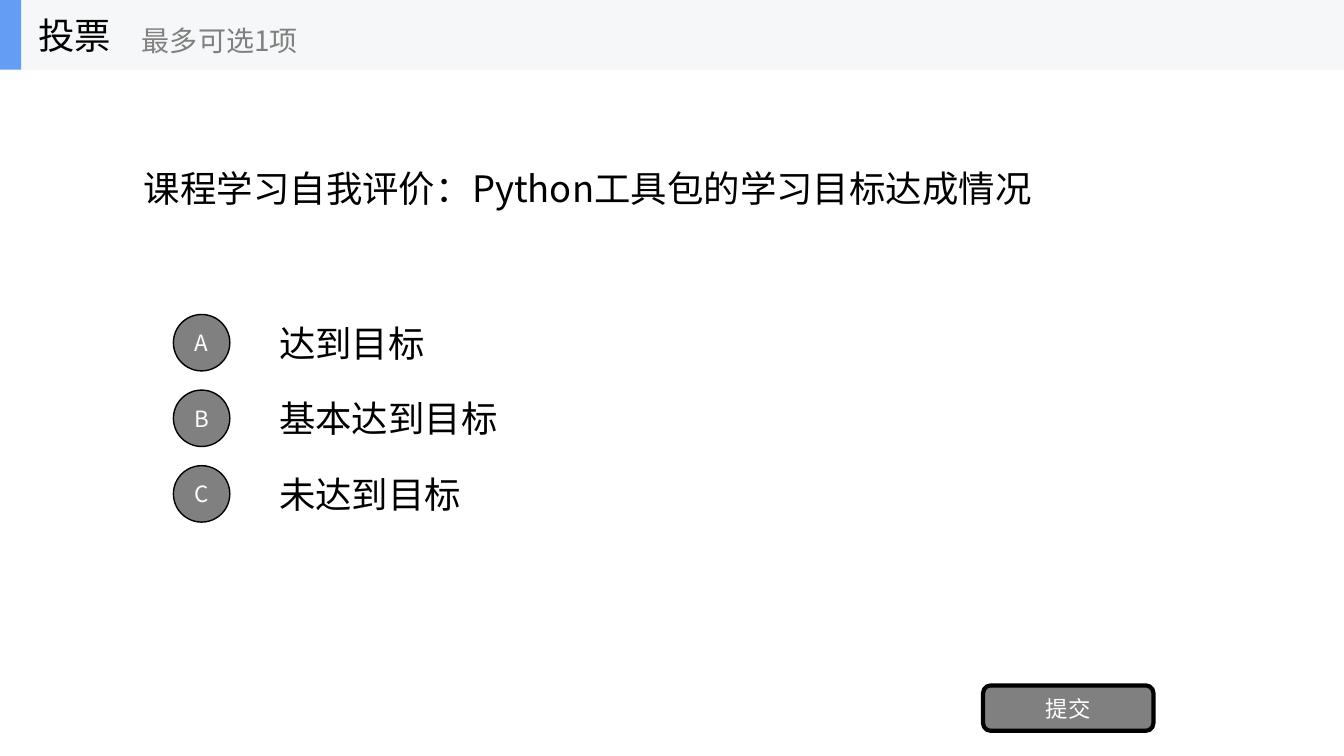
from lxml import etree
from pptx import Presentation
from pptx.dml.color import RGBColor
from pptx.enum.shapes import MSO_SHAPE
from pptx.enum.text import MSO_ANCHOR, PP_ALIGN
from pptx.oxml.ns import qn
from pptx.util import Inches, Pt

FONT = "Noto Sans CJK SC"
GRAY = "808080"
BAR_HEIGHT = 0.69

prs = Presentation()
prs.slide_width, prs.slide_height = Inches(13.33), Inches(7.5)
s = prs.slides.add_slide(prs.slide_layouts[6])


def add_text(text, box=None, sp=None, size=26, color="000000", align=PP_ALIGN.LEFT):
    """Write text into the shape sp, or into a new text box placed at box."""
    sp = sp or s.shapes.add_textbox(*map(Inches, box))
    tf = sp.text_frame
    tf.word_wrap = True
    tf.vertical_anchor = MSO_ANCHOR.MIDDLE
    p = tf.paragraphs[0]
    p.alignment = align
    r = p.add_run()
    r.text = text
    r.font.size = Pt(size)
    r.font.name = FONT
    r.font.color.rgb = RGBColor.from_string(color)
    etree.SubElement(r.font._element, qn("a:ea"), typeface=FONT)


def add_shape(kind, box, fill, line_width=0, label=None):
    sp = s.shapes.add_shape(kind, *map(Inches, box))
    sp.shadow.inherit = False
    sp.fill.solid()
    sp.fill.fore_color.rgb = RGBColor.from_string(fill)
    if line_width:
        sp.line.color.rgb = RGBColor.from_string("000000")
        sp.line.width = Pt(line_width)
    else:
        sp.line.fill.background()
    if label:
        add_text(label, sp=sp, size=16, color="FFFFFF", align=PP_ALIGN.CENTER)


# Question and options
add_text("课程学习自我评价：Python工具包的学习目标达成情况", (1.33, 0.69, 10.67, 2.34))
options = ["达到目标", "基本达到目标", "未达到目标"]
for i, (letter, option) in enumerate(zip("ABC", options)):
    top = 3.05 + 0.75 * i
    add_text(option, (2.67, top, 9.33, 0.7))
    add_shape(MSO_SHAPE.OVAL, (1.72, top + 0.07, 0.56, 0.56), GRAY, 1, letter)

# Submit button
add_shape(MSO_SHAPE.ROUNDED_RECTANGLE, (9.75, 6.8, 1.69, 0.45), GRAY, 3, "提交")

# Title bar
add_shape(MSO_SHAPE.RECTANGLE, (0, 0, 13.33, BAR_HEIGHT), "F6F7F8")
add_shape(MSO_SHAPE.RECTANGLE, (0, 0, 0.21, BAR_HEIGHT), "639EF4")
add_text("投票", (0.28, 0, 2.08, BAR_HEIGHT))
add_text("最多可选1项", (1.31, 0.12, 2.5, 0.56), size=20, color=GRAY)

prs.save("out.pptx")
